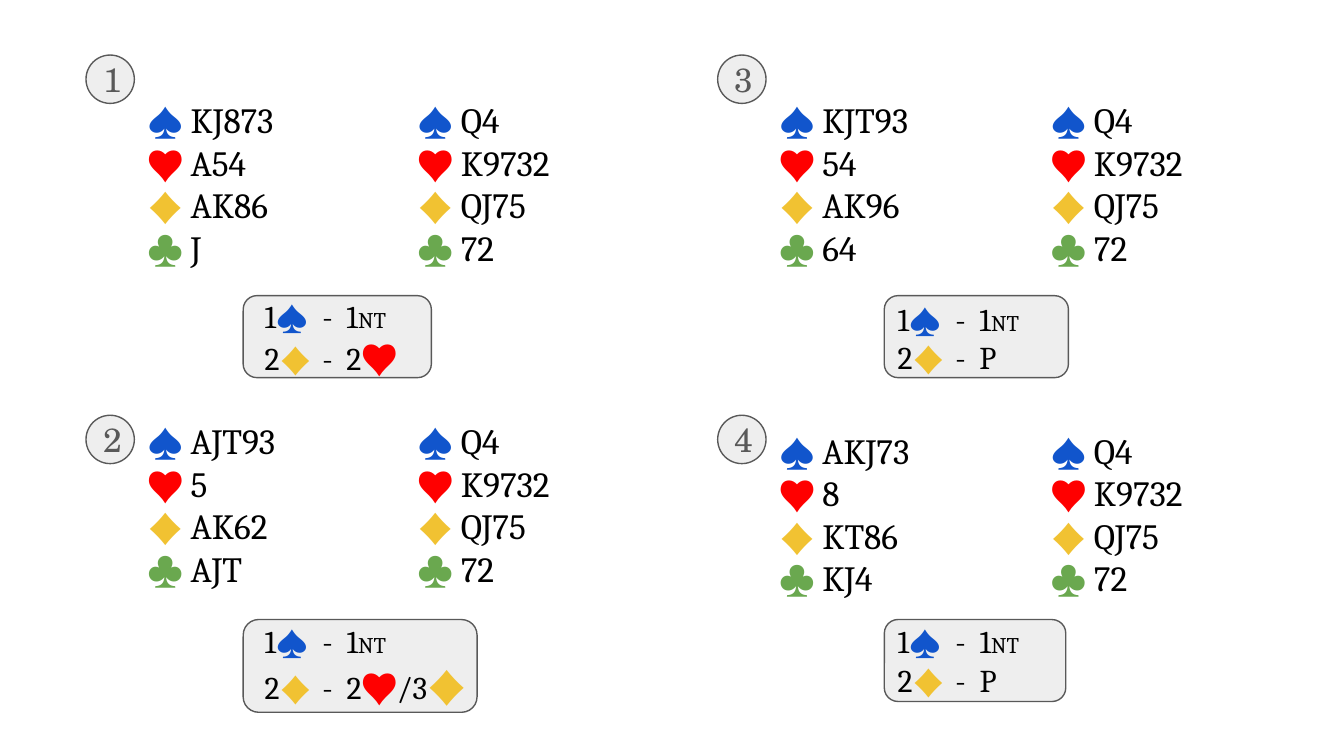
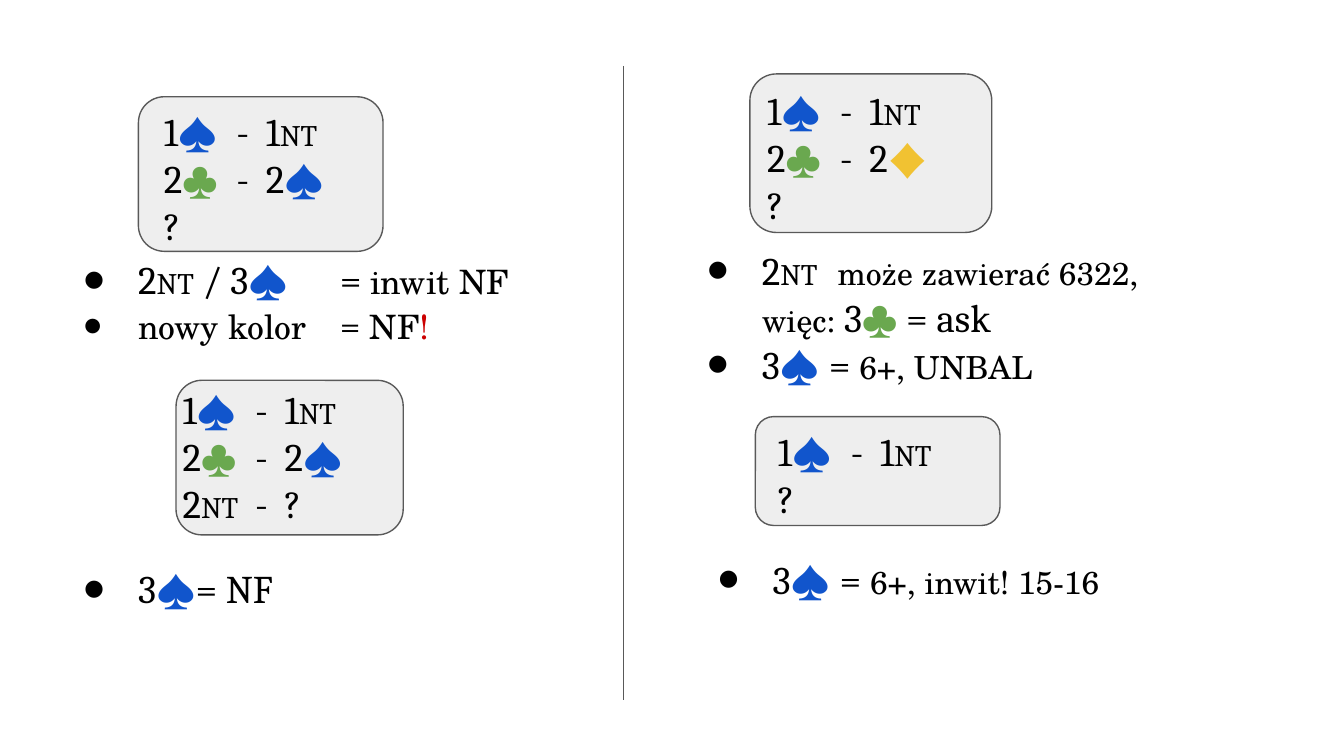
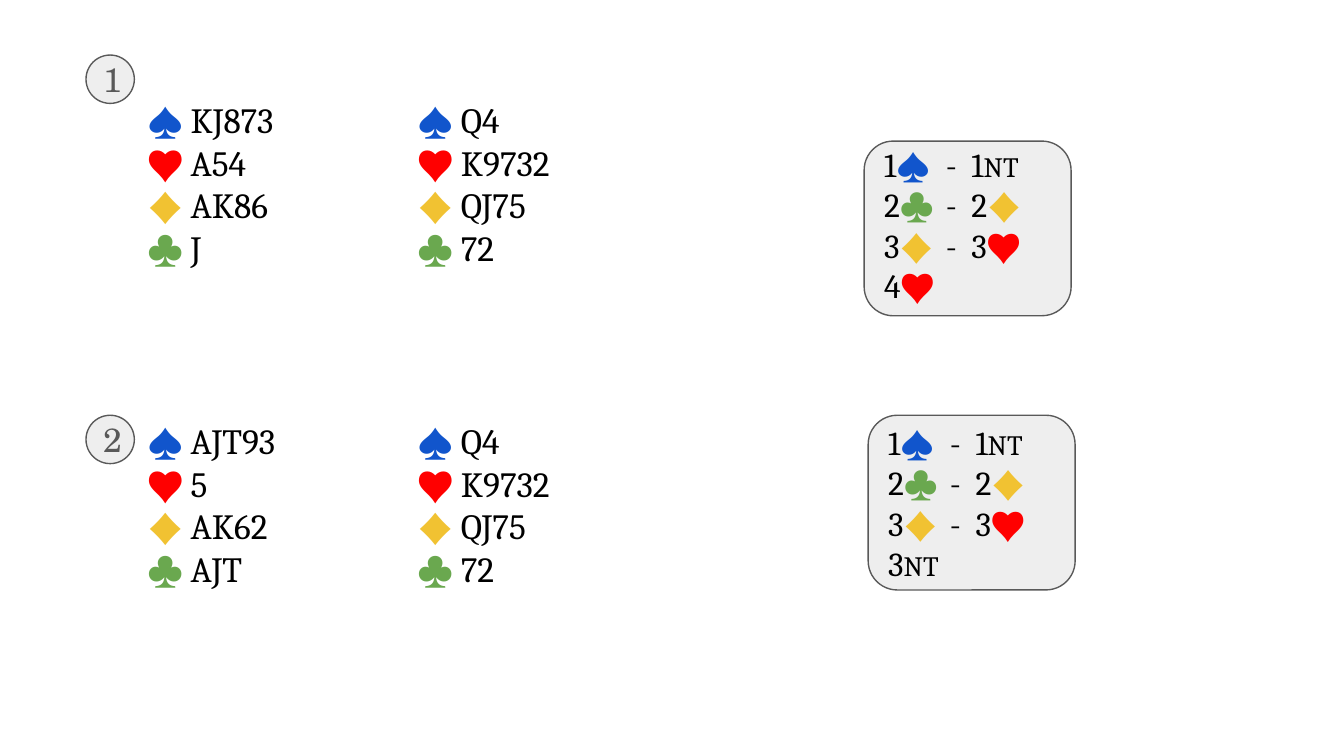
"""Build three slides of bridge hands and bidding sequences."""
from dataclasses import dataclass
from typing import NamedTuple, Union

from lxml import etree
from pptx import Presentation
from pptx.dml.color import RGBColor
from pptx.enum import shapes, text
from pptx.oxml import ns
from pptx.util import Inches, Pt

BLACK = RGBColor(0x00, 0x00, 0x00)
GRAY = RGBColor(0x59, 0x59, 0x59)
PANEL = RGBColor(0xEE, 0xEE, 0xEE)
ALERT = RGBColor(0xCC, 0x00, 0x00)
SUITS = {
    "♠": RGBColor(0x11, 0x55, 0xCC),
    "♥": RGBColor(0xFF, 0x00, 0x00),
    "♦": RGBColor(0xF1, 0xC2, 0x32),
    "♣": RGBColor(0x6A, 0xA8, 0x4F),
}
CAMBRIA = "Cambria"
SCHOLA = "TeX Gyre Schola"
NOTRUMP = "NT"
NOTRUMP_SIZES = {17: 12, 18: 15, 21: 16}
CARD_SIZE = 19
BADGE_SIZE = 0.36
DASH_STOP = 0.0255
REPLY_STOP = 0.036
FRAME = {
    "word_wrap": True,
    "auto_size": text.MSO_AUTO_SIZE.SHAPE_TO_FIT_TEXT,
    "margin_left": Inches(0.1),
    "margin_right": Inches(0.1),
    "margin_top": Inches(0.1),
    "margin_bottom": Inches(0.1),
}


class Box(NamedTuple):
    """A rectangle in inches."""
    left: float
    top: float
    width: float
    height: float


class Span(NamedTuple):
    """A stretch of text that differs from its box defaults."""
    text: str
    size: int
    font: str = CAMBRIA
    color: RGBColor = BLACK


Line = tuple[Union[str, Span], ...]


@dataclass(frozen=True)
class Deal:
    """A numbered pair of hands, each listed from spades to clubs."""
    number: str
    left: float
    top: float
    hand_top: float
    west: str
    east: str = "Q4 K9732 QJ75 72"
    east_offset: float = 2.37


@dataclass(frozen=True)
class Auction:
    """A bidding sequence on a rounded panel."""
    panel: Box
    box: Box
    size: int
    lines: tuple[Line, ...]


@dataclass(frozen=True)
class Note:
    """A paragraph of a notes list."""
    line: Line
    bulleted: bool = True


@dataclass(frozen=True)
class Notes:
    """A bulleted list of continuations."""
    box: Box
    notes: tuple[Note, ...]


OPENING: Line = ("1♠\t-\t1NT",)
ASK: Line = ("?",)
DEAL_1 = Deal("1", 0.64, 0.41, 0.63, "KJ873 A54 AK86 J")
DEAL_2 = Deal("2", 0.64, 3.09, 3.02, "AJT93 5 AK62 AJT")
DEAL_3 = Deal("3", 5.34, 0.41, 0.63, "KJT93 54 AK96 64", east_offset=2.38)
DEAL_4 = Deal("4", 5.34, 3.09, 3.09, "AKJ73 8 KT86 KJ4", east_offset=2.38)
PASSED = (OPENING, ("2♦\t-\tP",))
HEART = Span("♥", 19)
CLUB = Span("♣", 19)
GAME_TRY = (OPENING, ("2♣\t-\t2♦",), ("3♦\t-\t3♥",))

FIRST_SLIDE = (
    Auction(Box(1.81, 2.2, 1.4, 0.61), Box(1.87, 2.11, 2.54, 0.81), 17,
            (OPENING, ("2♦\t-\t2", HEART))),
    Auction(Box(1.81, 4.61, 1.74, 0.69), Box(1.87, 4.53, 2.45, 0.84), 17,
            (OPENING, ("2♦\t-\t2", HEART, "/3", Span("♦", 21)))),
    Auction(Box(6.58, 2.2, 1.37, 0.61), Box(6.58, 2.13, 2.83, 0.77), 17, PASSED),
    Auction(Box(6.58, 4.61, 1.35, 0.61), Box(6.58, 4.53, 2.22, 0.77), 17, PASSED),
    DEAL_1, DEAL_2, DEAL_3, DEAL_4,
)
SECOND_SLIDE = (
    Auction(Box(1.03, 0.72, 1.82, 1.15), Box(1.12, 0.7, 1.69, 1.26), 21,
            (OPENING, ("2", CLUB, "\t-\t2♠"), ASK)),
    Auction(Box(1.31, 2.83, 1.69, 1.15), Box(1.26, 2.77, 1.69, 1.26), 21,
            (OPENING, ("2", CLUB, "\t-\t2♠"), ("2NT\t-\t?",))),
    Auction(Box(5.58, 0.55, 1.8, 1.18), Box(5.61, 0.54, 1.69, 1.26), 21,
            (OPENING, ("2", CLUB, "\t-\t2♦"), ASK)),
    Auction(Box(5.62, 3.1, 1.82, 0.81), Box(5.69, 3.08, 1.69, 0.91), 21,
            (OPENING, ASK)),
    Notes(Box(0.43, 1.8, 4.45, 0.91), (
        Note(("2NT / 3♠\t= ", Span("inwit NF", 18, SCHOLA))),
        Note((Span("nowy kolor\t", 18, SCHOLA), Span("=", 20),
              Span(" NF", 18, SCHOLA), Span("!", 18, SCHOLA, ALERT))),
    )),
    Notes(Box(0.43, 4.1, 4.45, 0.56), (Note(("3♠= NF",)),)),
    Notes(Box(5.07, 1.73, 4.57, 1.26), (
        Note(("2NT\t ", Span("może zawierać 6322,", 17, SCHOLA))),
        Note((Span("więc:", 17, SCHOLA), " 3", CLUB, " = ask"), bulleted=False),
        Note(("3♠\t= ", Span("6+, UNBAL", 17, SCHOLA))),
    )),
    Notes(Box(5.15, 4.03, 4.57, 0.56), (
        Note(("3♠\t= ", Span("6+, inwit! 15-16", 17, SCHOLA))),
    )),
)
THIRD_SLIDE = (
    Auction(Box(6.43, 1.05, 1.54, 1.3), Box(6.48, 0.97, 1.69, 1.41), 18,
            (*GAME_TRY, ("4♥",))),
    Auction(Box(6.46, 3.09, 1.54, 1.3), Box(6.51, 3.04, 1.69, 1.41), 18,
            (*GAME_TRY, ("3NT",))),
    DEAL_1, DEAL_2,
)


def apply_format(target, values: dict) -> None:
    """Set every attribute named in the format values."""
    for name, value in values.items():
        setattr(target, name, value)


def to_inches(box: Box) -> list:
    """Convert a box to lengths."""
    return [Inches(value) for value in box]


def add_panel(slide, kind, box: Box):
    """Add a light gray outlined shape."""
    shape = slide.shapes.add_shape(kind, *to_inches(box))
    shape.shadow.inherit = False
    shape.fill.solid()
    shape.fill.fore_color.rgb = PANEL
    shape.line.color.rgb = GRAY
    shape.line.width = Pt(0.75)
    return shape


def write_line(paragraph, line: Line, size: int) -> None:
    """Write spans, colouring suits and shrinking notrump marks."""
    for item in line:
        span = item if isinstance(item, Span) else Span(item, size)
        marked = span.text
        for mark in (*SUITS, NOTRUMP):
            marked = marked.replace(mark, f"|{mark}|")
        for piece in filter(None, marked.split("|")):
            run = paragraph.add_run()
            run.text = piece
            points = NOTRUMP_SIZES[span.size] if piece == NOTRUMP else span.size
            apply_format(run.font, {"name": span.font, "size": Pt(points)})
            run.font.color.rgb = SUITS.get(piece, span.color)


def add_text(slide, box: Box, lines: tuple[Line, ...], size: int) -> list:
    """Add a text box and return its paragraphs."""
    frame = slide.shapes.add_textbox(*to_inches(box)).text_frame
    apply_format(frame, FRAME)
    for index, line in enumerate(lines):
        paragraph = frame.add_paragraph() if index else frame.paragraphs[0]
        write_line(paragraph, line, size)
    return list(frame.paragraphs)


def add_deal(slide, deal: Deal) -> None:
    """Draw the number badge and both hands."""
    add_panel(slide, shapes.MSO_SHAPE.OVAL,
              Box(deal.left, deal.top, BADGE_SIZE, BADGE_SIZE))
    add_text(slide, Box(deal.left + 0.03, deal.top - 0.07, 0.3, 0.5),
             ((Span(deal.number, 18, SCHOLA, GRAY),),), 18)
    for offset, hand in ((BADGE_SIZE, deal.west), (deal.east_offset, deal.east)):
        lines = tuple((f"{suit} {cards}",) for suit, cards in zip(SUITS, hand.split()))
        add_text(slide, Box(deal.left + offset, deal.hand_top, 1.54, 1.48),
                 lines, CARD_SIZE)


def add_auction(slide, auction: Auction) -> None:
    """Draw the panel and its bids, aligned on tab stops."""
    panel = add_panel(slide, shapes.MSO_SHAPE.ROUNDED_RECTANGLE, auction.panel)
    panel.adjustments[0] = 0.167
    for paragraph in add_text(slide, auction.box, auction.lines, auction.size):
        properties = paragraph._p.get_or_add_pPr()
        stops = etree.SubElement(properties, ns.qn("a:tabLst"))
        for factor in (DASH_STOP, REPLY_STOP):
            position = Inches(round(auction.size * factor, 2))
            etree.SubElement(stops, ns.qn("a:tab"), pos=str(position), algn="l")


def add_bullet(properties) -> None:
    """Give a paragraph a black round bullet."""
    color = etree.SubElement(properties, ns.qn("a:buClr"))
    etree.SubElement(color, ns.qn("a:srgbClr"), val=str(BLACK))
    etree.SubElement(properties, ns.qn("a:buSzPct"), val="57000")
    etree.SubElement(properties, ns.qn("a:buFont"), typeface=CAMBRIA)
    etree.SubElement(properties, ns.qn("a:buChar"), char="●")


def add_notes(slide, notes: Notes) -> None:
    """Draw a list with hanging bullets."""
    lines = tuple(note.line for note in notes.notes)
    for note, paragraph in zip(notes.notes, add_text(slide, notes.box, lines, 21)):
        properties = paragraph._p.get_or_add_pPr()
        properties.set("marL", str(Inches(0.5)))
        properties.set("indent", str(Inches(-0.4 if note.bulleted else 0)))
        if note.bulleted:
            add_bullet(properties)


def add_divider(slide) -> None:
    """Draw the vertical rule between the two columns."""
    line = slide.shapes.add_connector(
        shapes.MSO_CONNECTOR.STRAIGHT,
        Inches(4.64), Inches(0.49), Inches(4.64), Inches(5.21))
    line.line.color.rgb = GRAY
    line.line.width = Pt(0.75)
    etree.SubElement(line._element.spPr, ns.qn("a:effectLst"))


DRAWERS = {Deal: add_deal, Auction: add_auction, Notes: add_notes}


def add_slide(presentation, items: tuple):
    """Add a blank slide and draw its items."""
    slide = presentation.slides.add_slide(presentation.slide_layouts[6])
    for item in items:
        DRAWERS[type(item)](slide, item)
    return slide


def main() -> None:
    """Build and save the presentation."""
    presentation = Presentation()
    width = Inches(10)
    apply_format(presentation, {"slide_width": width, "slide_height": width * 9 // 16})
    add_slide(presentation, FIRST_SLIDE)
    add_divider(add_slide(presentation, SECOND_SLIDE))
    add_slide(presentation, THIRD_SLIDE)
    presentation.save("out.pptx")


if __name__ == "__main__":
    main()
